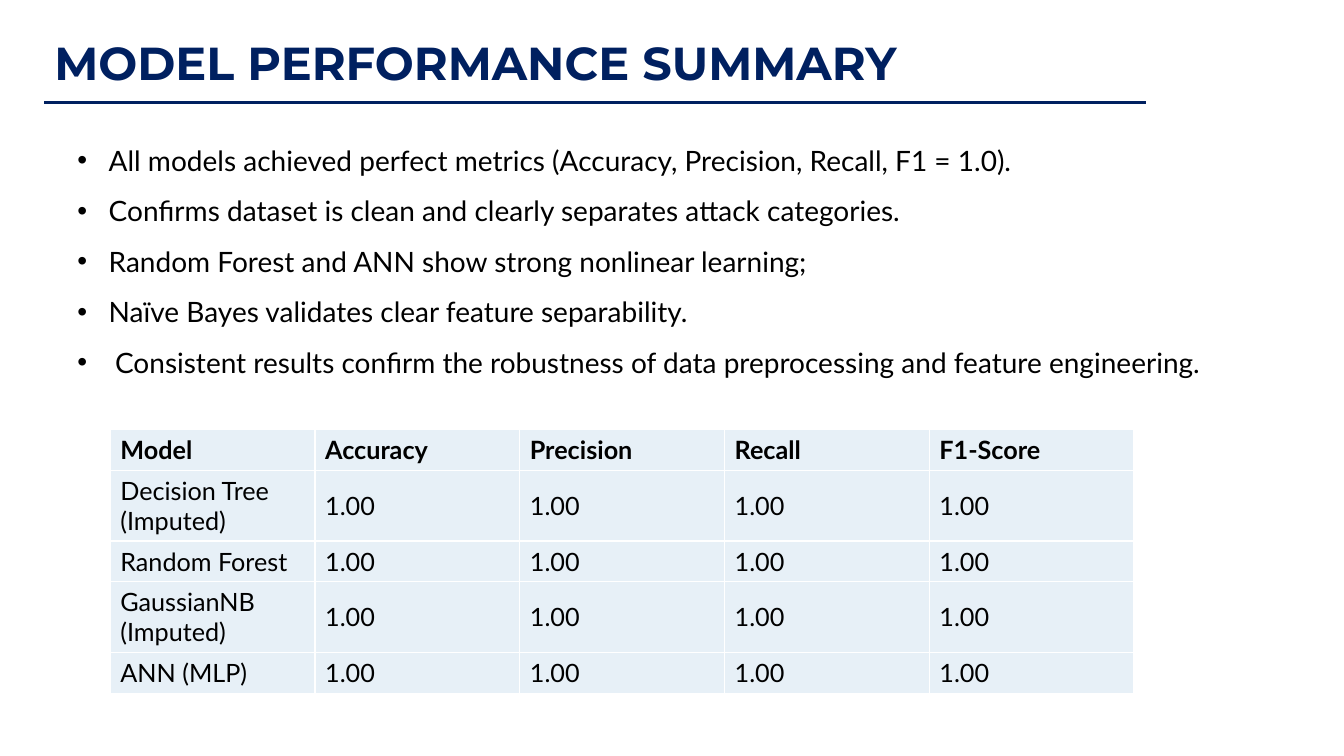
from lxml import etree
from pptx import Presentation
from pptx.dml.color import RGBColor
from pptx.enum.shapes import MSO_CONNECTOR
from pptx.enum.text import MSO_ANCHOR, MSO_AUTO_SIZE
from pptx.oxml.ns import qn
from pptx.util import Cm, Pt

STRAIGHT = MSO_CONNECTOR.STRAIGHT
MIDDLE = MSO_ANCHOR.MIDDLE
GROW = MSO_AUTO_SIZE.SHAPE_TO_FIT_TEXT

COLORS = {"navy": "002060", "text": "000000", "cell": "E7F0F7", "border": "FFFFFF"}
HEADING_FONT = "Montserrat"
BODY_FONT = "Lato"

BULLETS = [
    ("All models achieved perfect metrics (Accuracy, Precision, Recall, F1 = 1.0).", 0.79),
    ("Confirms dataset is clean and clearly separates attack categories.", 0.79),
    ("Random Forest and ANN show strong nonlinear learning;", 0.79),
    ("Naïve Bayes validates clear feature separability.", 0.79),
    ("Consistent results confirm the robustness of data preprocessing and feature engineering.", 0.95),
]
HEADER = ["Model", "Accuracy", "Precision", "Recall", "F1-Score"]
MODELS = ["Decision Tree (Imputed)", "Random Forest", "GaussianNB (Imputed)", "ANN (MLP)"]
ROW_HEIGHTS = [1.03, 1.78, 1.03, 1.78, 1.03]


def rgb(name):
    return RGBColor.from_string(COLORS[name])


class SlideBuilder:
    def __init__(self, s):
        self.s = s

    def run(self, p, text, size, font=BODY_FONT, color="text", bold=False):
        r = p.add_run()
        r.text = text
        r.font.size = Pt(size)
        r.font.name = font
        r.font.bold = bold
        r.font.color.rgb = rgb(color)

    def text_frame(self, x, y, w, h):
        tf = self.s.shapes.add_textbox(Cm(x), Cm(y), Cm(w), Cm(h)).text_frame
        tf.word_wrap = True
        tf.auto_size = GROW
        return tf

    def title(self, text, x, y, w, h):
        tf = self.text_frame(x, y, w, h)
        self.run(tf.paragraphs[0], text, 33, HEADING_FONT, "navy", True)

    def rule(self, x1, x2, y):
        line = self.s.shapes.add_connector(STRAIGHT, Cm(x1), Cm(y), Cm(x2), Cm(y))
        line.line.color.rgb = rgb("navy")
        line.line.width = Pt(2.25)
        etree.SubElement(line._element.spPr, qn("a:effectLst"))

    def bullets(self, items, x, y, w, h):
        tf = self.text_frame(x, y, w, h)
        for i, (text, indent) in enumerate(items):
            p = tf.add_paragraph() if i else tf.paragraphs[0]
            pPr = p._p.get_or_add_pPr()
            pPr.set("marL", str(Cm(indent)))
            pPr.set("indent", str(-Cm(indent)))
            etree.SubElement(pPr, qn("a:buFont"), typeface="Arial")
            etree.SubElement(pPr, qn("a:buChar"), char="•")
            p.line_spacing = 1.5
            self.run(p, text, 20)

    def borders(self, cell):
        tcPr = cell._tc.get_or_add_tcPr()
        for i, side in enumerate(("a:lnL", "a:lnR", "a:lnT", "a:lnB")):
            ln = etree.Element(qn(side), w=str(Pt(1)))
            fill = etree.SubElement(ln, qn("a:solidFill"))
            etree.SubElement(fill, qn("a:srgbClr"), val=COLORS["border"])
            tcPr.insert(i, ln)

    def table(self, rows, x, y, col_width, heights):
        cols = len(rows[0])
        frame = self.s.shapes.add_table(
            len(rows), cols, Cm(x), Cm(y), Cm(col_width * cols), Cm(sum(heights)))
        table = frame.table
        for column in table.columns:
            column.width = Cm(col_width)
        for i, (values, height) in enumerate(zip(rows, heights)):
            table.rows[i].height = Cm(height)
            for j, value in enumerate(values):
                cell = table.cell(i, j)
                cell.vertical_anchor = MIDDLE
                cell.fill.solid()
                cell.fill.fore_color.rgb = rgb("cell")
                self.borders(cell)
                self.run(cell.text_frame.paragraphs[0], value, 18, bold=i == 0)


def main():
    prs = Presentation()
    prs.slide_width = Cm(33.87)
    prs.slide_height = Cm(19.05)
    slide = SlideBuilder(prs.slides.add_slide(prs.slide_layouts[6]))
    slide.rule(1.12, 28.88, 2.59)
    slide.title("MODEL PERFORMANCE SUMMARY", 1.12, 0.74, 32.36, 1.7)
    scores = ["1.00"] * (len(HEADER) - 1)
    rows = [HEADER] + [[model] + scores for model in MODELS]
    slide.table(rows, 2.78, 10.82, 5.16, ROW_HEIGHTS)
    slide.bullets(BULLETS, 1.7, 3.07, 30.48, 6.53)
    prs.save("out.pptx")


if __name__ == "__main__":
    main()
